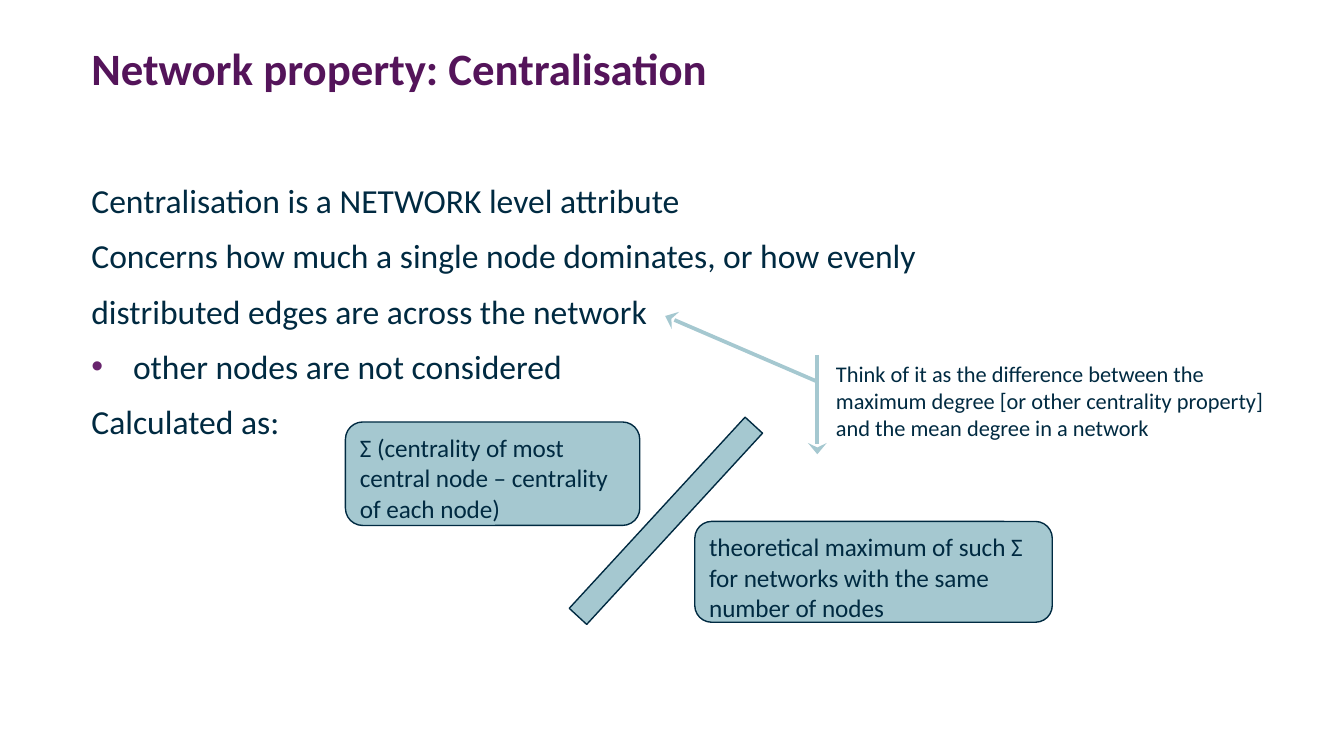
from lxml.etree import SubElement
from pptx import Presentation
from pptx.dml.color import RGBColor
from pptx.enum.shapes import MSO_SHAPE
from pptx.enum.text import MSO_ANCHOR, MSO_AUTO_SIZE, PP_ALIGN
from pptx.oxml.ns import qn
from pptx.util import Inches, Pt

HUES = {"title": "54145A", "text": "002A41", "bullet": "68246D", "fill": "A5C8D0"}


class Deck:
    font = "Calibri"

    def __init__(self, file):
        self.slide = file.slides.add_slide(file.slide_layouts[1])

    def hue(self, name):
        return RGBColor.from_string(HUES[name])

    def place(self, shape, box):
        shape.left, shape.top, shape.width, shape.height = map(Inches, box)

    def frame(self, shape, side=0, edge=0):
        frame = shape.text_frame
        frame.word_wrap = True
        frame.auto_size = MSO_AUTO_SIZE.NONE
        frame.vertical_anchor = MSO_ANCHOR.TOP
        frame.margin_left = frame.margin_right = Inches(side)
        frame.margin_top = frame.margin_bottom = Inches(edge)
        return frame

    def style(self, para, size, hue="text", bold=False):
        para.alignment = PP_ALIGN.LEFT
        for run in para.runs:
            font = run.font
            font.name, font.size, font.bold = self.font, Pt(size), bold
            font.color.rgb = self.hue(hue)

    def title(self, text, box):
        shape = self.slide.shapes.title
        self.place(shape, box)
        frame = self.frame(shape)
        frame.text = text
        self.style(frame.paragraphs[0], 24, "title", True)

    def bullet(self, para, level):
        props = para._p.get_or_add_pPr()
        indent = Inches(0.31) if level else 0
        props.set("marL", str(indent))
        props.set("indent", str(-indent))
        if level:
            tint = SubElement(props, qn("a:buClr"))
            SubElement(tint, qn("a:srgbClr"), val=HUES["bullet"])
            SubElement(props, qn("a:buFont"), typeface="Arial")
            SubElement(props, qn("a:buChar"), char="•")
        else:
            SubElement(props, qn("a:buNone"))

    def body(self, items, box):
        shape = self.slide.placeholders[1]
        self.place(shape, box)
        frame = self.frame(shape)
        for i, (level, text) in enumerate(items):
            para = frame.add_paragraph() if i else frame.paragraphs[0]
            para.text = text
            para.level = level
            self.bullet(para, level)
            para.space_before = Pt(8 if i else 0)
            self.style(para, 18)

    def shape(self, kind, box, text="", size=13.5):
        shape = self.slide.shapes.add_shape(kind, *map(Inches, box))
        shape.shadow.inherit = False
        shape.fill.solid()
        shape.fill.fore_color.rgb = self.hue("fill")
        shape.line.color.rgb = self.hue("text")
        shape.line.width = Pt(0.75)
        if text:
            frame = self.frame(shape, 0.07, 0.04)
            frame.text = text
            self.style(frame.paragraphs[0], size)
        return shape

    def callout(self, text, box, points):
        shape = self.shape(MSO_SHAPE.LINE_CALLOUT_1_ACCENT_BAR, box, text, 12)
        for i, value in enumerate(points):
            shape.adjustments[i] = value
        shape.fill.background()
        shape.line.color.rgb = self.hue("fill")
        shape.line.width = Pt(2)
        SubElement(shape.line._get_or_add_ln(), qn("a:tailEnd"),
                   type="stealth", w="lg", len="med")


def main():
    file = Presentation()
    # Widescreen, 16 to 9
    file.slide_width, file.slide_height = Inches(10), Inches(10 * 9 / 16)
    deck = Deck(file)

    # Title and main points
    deck.title("Network property: Centralisation", (0.68, 0.3, 8.64, 0.94))
    deck.body([
        (0, "Centralisation is a NETWORK level attribute"),
        (0, "Concerns how much a single node dominates, or how evenly"),
        (0, "distributed edges are across the network"),
        (1, "other nodes are not considered"),
        (0, "Calculated as:"),
    ], (0.68, 1.34, 6.24, 3.19))

    # Formula: sum, divided by its maximum
    deck.shape(MSO_SHAPE.ROUNDED_RECTANGLE, (2.57, 3.14, 2.19, 0.77),
               "Σ (centrality of most central node – centrality of each node)")
    deck.shape(MSO_SHAPE.ROUNDED_RECTANGLE, (5.17, 3.88, 2.66, 0.75),
               "theoretical maximum of such Σ for networks with the same number of nodes")
    slash = deck.shape(MSO_SHAPE.MATH_MINUS, (3.64, 3.5, 2.63, 0.75))
    slash.rotation = 312.6

    # Side note pointing at the definition
    deck.callout("Think of it as the difference between the maximum degree "
                 "[or other centrality property] and the mean degree in a network",
                 (6.15, 2.64, 3.43, 0.74), (0.27, -0.02, -0.39, -0.35))

    file.save("out.pptx")


if __name__ == "__main__":
    main()
